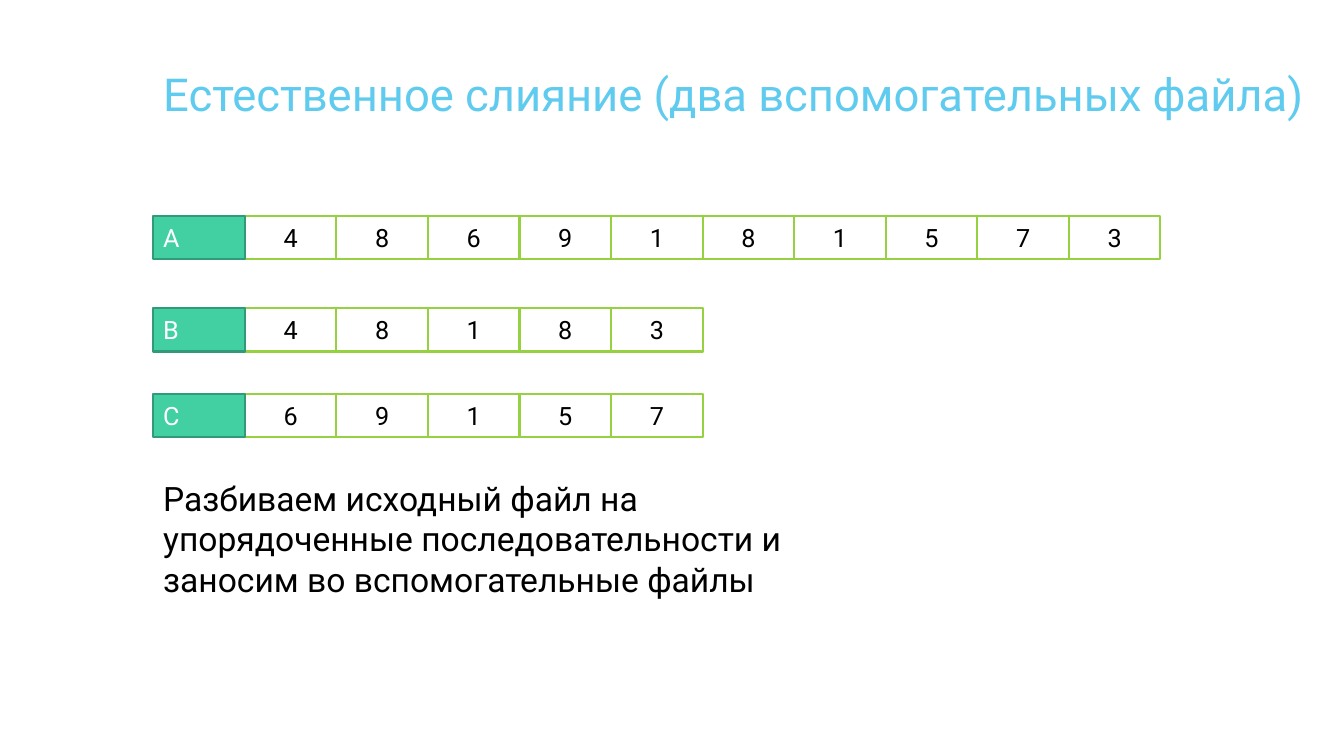
from pptx import Presentation
from pptx.dml.color import RGBColor
from pptx.enum.shapes import MSO_SHAPE
from pptx.enum.text import MSO_ANCHOR, PP_ALIGN
from pptx.util import Emu, Pt

RECT = MSO_SHAPE.RECTANGLE
TOP, MIDDLE = MSO_ANCHOR.TOP, MSO_ANCHOR.MIDDLE
LEFT, CENTER = PP_ALIGN.LEFT, PP_ALIGN.CENTER

EMU_PER_PX = 3810
MARGIN = 365
CELL_W, CELL_H = 218, 103
FILES = [
    ("A", 514, "4869181573"),
    ("B", 734, "48183"),
    ("C", 938, "69157"),
]


def px(n):
    return Emu(n * EMU_PER_PX)


def rgb(value):
    return RGBColor.from_string(value)


def set_text(sp, text, size=18, color="000000", align=LEFT, anchor=TOP):
    tf = sp.text_frame
    tf.word_wrap = True
    tf.vertical_anchor = anchor
    p = tf.paragraphs[0]
    p.alignment = align
    r = p.add_run()
    r.text = text
    r.font.name = "Roboto"
    r.font.size = Pt(size)
    r.font.color.rgb = rgb(color)


def add_text(s, x, y, w, h, text, **fmt):
    sp = s.shapes.add_textbox(px(x), px(y), px(w), px(h))
    set_text(sp, text, **fmt)


def add_cell(s, column, y, text, fill="FFFFFF", line="96D141", **fmt):
    x = MARGIN + column * CELL_W
    sp = s.shapes.add_shape(RECT, px(x), px(y), px(CELL_W), px(CELL_H))
    sp.shadow.inherit = False
    sp.fill.solid()
    sp.fill.fore_color.rgb = rgb(fill)
    sp.line.color.rgb = rgb(line)
    sp.line.width = Pt(1.5)
    set_text(sp, text, anchor=MIDDLE, **fmt)


def add_file(s, name, y, values):
    for column, value in enumerate(values, 1):
        add_cell(s, column, y, value, align=CENTER)
    add_cell(s, 0, y, name, fill="42D0A2", line="319A78", color="FFFFFF")


def main():
    prs = Presentation()
    prs.slide_width, prs.slide_height = px(3200), px(1800)
    s = prs.slides.add_slide(prs.slide_layouts[6])
    add_text(s, MARGIN, 146, 2894, 233,
             "Естественное слияние (два вспомогательных файла)",
             size=32.4, color="5FCBEF")
    for name, y, values in FILES:
        add_file(s, name, y, values)
    add_text(s, MARGIN, 1126, 1680, 314,
             "Разбиваем исходный файл на упорядоченные последовательности "
             "и заносим во вспомогательные файлы", size=24)
    prs.save("out.pptx")


if __name__ == "__main__":
    main()
